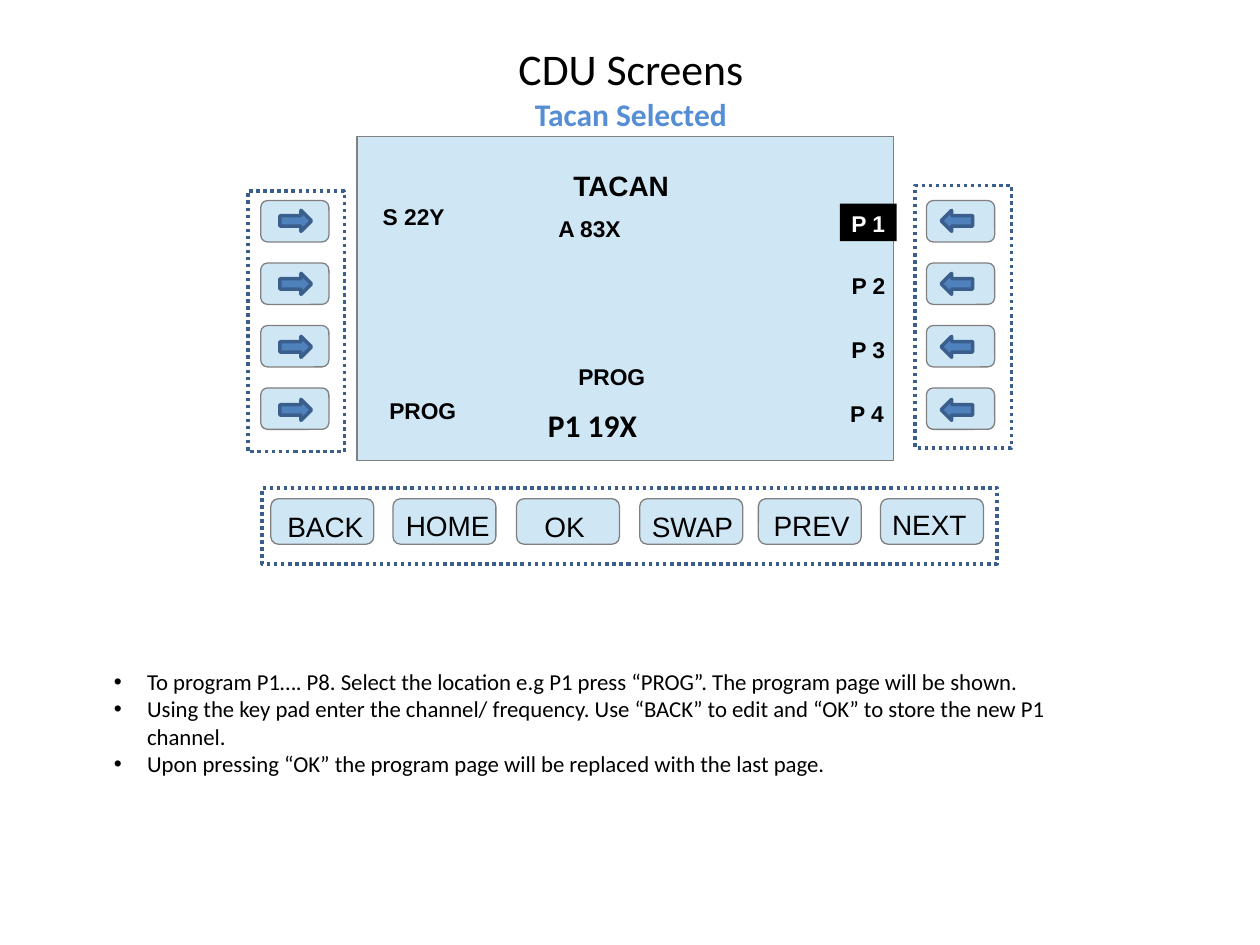
from lxml import etree
from pptx import Presentation
from pptx.dml.color import RGBColor
from pptx.enum.dml import MSO_LINE_DASH_STYLE as Dash
from pptx.enum.shapes import MSO_SHAPE as Shape
from pptx.enum.text import MSO_ANCHOR as Anchor, MSO_AUTO_SIZE as AutoSize, PP_ALIGN as Align
from pptx.oxml.ns import qn
from pptx.util import Pt

COLORS = {
    "black": "000000",
    "white": "FFFFFF",
    "panel": "CFE7F5",
    "panel_line": "808080",
    "arrow": "4F81BD",
    "outline": "3A5F8C",
    "subtitle": "558ED5",
}
TIGHT = (6.5, 3.2)
STANDARD = (7.2, 3.6)


def color(name):
    return RGBColor.from_string(COLORS[name])


def add_run(paragraph, text, size=13, font="Arial", bold=False, ink="black"):
    run = paragraph.add_run()
    run.text = text
    run.font.size = Pt(size)
    run.font.name = font
    run.font.bold = bold
    run.font.color.rgb = color(ink)


def set_frame(frame, insets, wrap=False, anchor=Anchor.TOP):
    frame.word_wrap = wrap
    frame.auto_size = AutoSize.NONE
    frame.vertical_anchor = anchor
    frame.margin_left = frame.margin_right = Pt(insets[0])
    frame.margin_top = frame.margin_bottom = Pt(insets[1])


def set_bullet(paragraph, indent):
    properties = paragraph._p.get_or_add_pPr()
    properties.set("marL", str(Pt(indent)))
    properties.set("indent", str(-Pt(indent)))
    etree.SubElement(properties, qn("a:buFont")).set("typeface", "Arial")
    etree.SubElement(properties, qn("a:buChar")).set("char", "•")


class SlideBuilder:
    """Holds the current slide and the styles of its elements."""

    def __init__(self, presentation):
        self.slide = presentation.slides.add_slide(presentation.slide_layouts[5])

    def title(self, heading, subtitle, box):
        title = self.slide.shapes.title
        title.left, title.top, title.width, title.height = map(Pt, box)
        set_frame(title.text_frame, (7.2, 6), wrap=True)
        paragraph = title.text_frame.paragraphs[0]
        paragraph.alignment = Align.CENTER
        add_run(paragraph, heading, size=25, font="Calibri")
        paragraph.add_line_break()
        add_run(paragraph, subtitle, size=18, font="Calibri", bold=True, ink="subtitle")

    def shape(self, kind, box, fill=None, line=None, width=0, dash=None):
        shape = self.slide.shapes.add_shape(kind, *map(Pt, box))
        shape.shadow.inherit = False
        if fill:
            shape.fill.solid()
            shape.fill.fore_color.rgb = color(fill)
        else:
            shape.fill.background()
        if line:
            shape.line.color.rgb = color(line)
            shape.line.width = Pt(width)
            shape.line.dash_style = dash
        else:
            shape.line.fill.background()
        return shape

    def panel(self, box, kind=Shape.ROUNDED_RECTANGLE):
        self.shape(kind, box, fill="panel", line="panel_line")

    def arrow(self, kind, left, top):
        self.shape(kind, (left, top, 18, 12), fill="arrow", line="outline", width=2)

    def group_frame(self, box):
        self.shape(Shape.RECTANGLE, box, line="outline", width=2, dash=Dash.ROUND_DOT)

    def label(self, text, box, insets=TIGHT, **style):
        frame = self.slide.shapes.add_textbox(*map(Pt, box)).text_frame
        set_frame(frame, insets)
        add_run(frame.paragraphs[0], text, **style)

    def highlighted_label(self, text, box):
        shape = self.shape(Shape.RECTANGLE, box, fill="black")
        set_frame(shape.text_frame, TIGHT)
        paragraph = shape.text_frame.paragraphs[0]
        paragraph.alignment = Align.LEFT
        add_run(paragraph, text, bold=True, ink="white")

    def bullets(self, lines, box):
        frame = self.slide.shapes.add_textbox(*map(Pt, box)).text_frame
        set_frame(frame, STANDARD, wrap=True)
        for index, line in enumerate(lines):
            paragraph = frame.add_paragraph() if index else frame.paragraphs[0]
            set_bullet(paragraph, 19)
            add_run(paragraph, line, font="Calibri")


def main():
    presentation = Presentation()
    presentation.slide_width, presentation.slide_height = Pt(720), Pt(540)
    builder = SlideBuilder(presentation)
    builder.title("CDU Screens", "Tacan Selected", (36.5, 18, 648, 90))
    builder.panel((204, 78, 306.5, 185), kind=Shape.RECTANGLE)

    # Side keys: key left, arrow left, arrow direction, dotted frame
    side_columns = [
        (149, 160, Shape.RIGHT_ARROW, (141.8, 109.2, 55, 149)),
        (529.4, 537.8, Shape.LEFT_ARROW, (523, 106, 55, 150)),
    ]
    for key_left, arrow_left, direction, frame_box in side_columns:
        builder.group_frame(frame_box)
        for row in range(4):
            builder.panel((key_left, 114.6 + 35.7 * row, 39, 23.7))
            builder.arrow(direction, arrow_left, 120.2 + 36 * row)

    # Bottom keys: text, key left, label left, label top, label width
    bottom_keys = [
        ("BACK", 154.8, 157.7, 288.2, 57),
        ("HOME", 224.6, 225.4, 287.4, 61),
        ("OK", 295.2, 304.6, 288.2, 36),
        ("SWAP", 365.6, 366, 288.2, 60),
        ("PREV", 433.4, 435.6, 287.4, 57),
        ("NEXT", 503.2, 503.3, 286.7, 56),
    ]
    builder.group_frame((149.8, 278.8, 420, 43.4))
    for text, key_left, label_left, label_top, width in bottom_keys:
        builder.panel((key_left, 285, 58.8, 26))
        builder.label(text, (label_left, label_top, width, 25), size=16)

    builder.label("TACAN", (321.1, 93, 68.4, 25), size=16, bold=True)
    builder.label("P1 19X", (306, 228.4, 66, 29), STANDARD, size=18, font="Calibri", bold=True)
    screen_labels = [
        ("S 22Y", 212.2, 112.4, 49),
        ("A 83X", 312.6, 119.8, 52),
        ("PROG", 324, 204, 52),
        ("PROG", 216, 223.4, 52),
        ("P 2", 480.2, 152, 32.4),
        ("P 3", 480, 188.6, 32.4),
        ("P 4", 479.3, 225, 32.4),
    ]
    for text, left, top, width in screen_labels:
        builder.label(text, (left, top, width, 21.6), bold=True)
    builder.highlighted_label("P 1", (480, 116.4, 32.4, 21.4))

    builder.bullets([
        "To program P1…. P8. Select the location e.g P1 press “PROG”. "
        "The program page will be shown.",
        "Using the key pad enter the channel/ frequency. Use “BACK” to edit "
        "and “OK” to store the new P1 channel.",
        "Upon pressing “OK” the program page will be replaced with the last page.",
    ], (58, 378, 559.4, 70))

    presentation.save("out.pptx")


if __name__ == "__main__":
    main()
